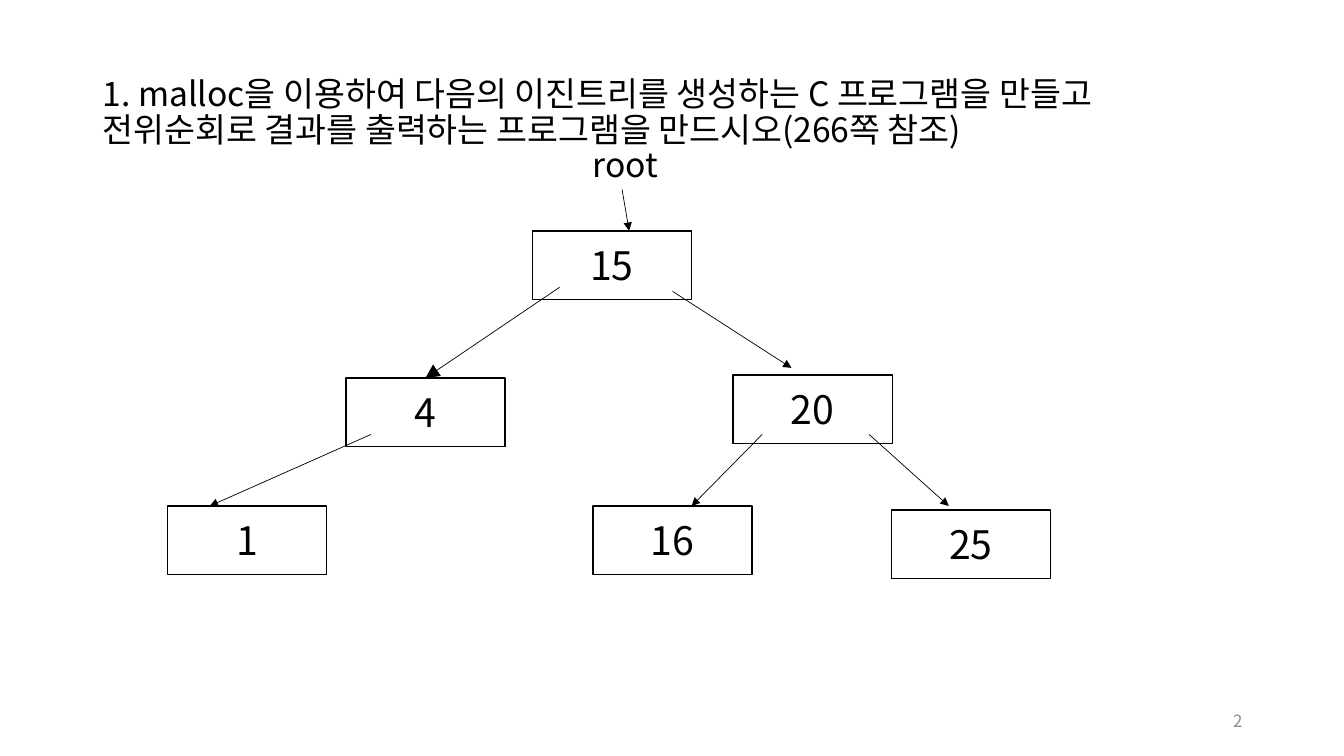
from lxml import etree
from pptx import Presentation
from pptx.dml.color import RGBColor
from pptx.enum.shapes import MSO_CONNECTOR, MSO_SHAPE
from pptx.enum.text import MSO_ANCHOR, PP_ALIGN
from pptx.oxml.ns import qn
from pptx.util import Inches, Pt

RECTANGLE = MSO_SHAPE.RECTANGLE
STRAIGHT = MSO_CONNECTOR.STRAIGHT
LEFT, CENTER, RIGHT = PP_ALIGN.LEFT, PP_ALIGN.CENTER, PP_ALIGN.RIGHT
TOP, MIDDLE = MSO_ANCHOR.TOP, MSO_ANCHOR.MIDDLE

FONT = "Noto Sans CJK KR"
COLORS = {"ink": "000000", "page_number": "8C8C8C"}
NODE_WIDTH, NODE_HEIGHT = 1.58, 0.68
TOP_SIDE = 0

TITLE = (
    "1. malloc을 이용하여 다음의 이진트리를 생성하는 C 프로그램을 만들고 "
    "전위순회로 결과를 출력하는 프로그램을 만드시오(266쪽 참조)"
)
NODES = {
    "15": (5.28, 2.29),
    "4": (3.43, 3.75),
    "1": (1.66, 5.02),
    "20": (7.27, 3.72),
    "16": (5.88, 5.02),
    "25": (8.84, 5.06),
}
ARROWS = [
    ((6.67, 2.89), (7.85, 3.65)),
    ((3.68, 4.31), (2.08, 5.02)),
    ((7.56, 4.31), (6.86, 5.02)),
    ((8.62, 4.31), (9.41, 5.02)),
    ((6.17, 1.88), (6.24, 2.29)),
]


def color(name):
    return RGBColor.from_string(COLORS[name])


def write_text(shape, text, size, alignment, anchor, color_name="ink"):
    frame = shape.text_frame
    frame.word_wrap = True
    frame.vertical_anchor = anchor
    paragraph = frame.paragraphs[0]
    paragraph.text = text
    paragraph.alignment = alignment
    font = paragraph.font
    font.size = Pt(size)
    font.color.rgb = color(color_name)
    font.name = FONT
    properties = paragraph._p.pPr.find(qn("a:defRPr"))
    etree.SubElement(properties, qn("a:ea"), typeface=FONT)
    return paragraph


def add_text(slide, box, text, size, alignment=LEFT, anchor=MIDDLE, color_name="ink"):
    shape = slide.shapes.add_textbox(*map(Inches, box))
    return write_text(shape, text, size, alignment, anchor, color_name)


def add_node(slide, value, position):
    box = (*position, NODE_WIDTH, NODE_HEIGHT)
    shape = slide.shapes.add_shape(RECTANGLE, *map(Inches, box))
    shape.shadow.inherit = False
    shape.fill.background()
    shape.line.color.rgb = color("ink")
    shape.line.width = Pt(1)
    write_text(shape, value, 28, CENTER, MIDDLE)
    return shape


def add_arrow(slide, start, end, head_size="med"):
    connector = slide.shapes.add_connector(STRAIGHT, *map(Inches, (*start, *end)))
    connector.line.color.rgb = color("ink")
    connector.line.width = Pt(0.5)
    etree.SubElement(
        connector.line._get_or_add_ln(), qn("a:tailEnd"),
        type="triangle", w=head_size, len=head_size,
    )
    etree.SubElement(connector._element.spPr, qn("a:effectLst"))
    return connector


def main():
    presentation = Presentation()
    presentation.slide_width = Inches(13.33)
    presentation.slide_height = Inches(7.5)
    slide = presentation.slides.add_slide(presentation.slide_layouts[6])

    title = add_text(slide, (0.92, 0.4, 11.5, 1.45), TITLE, 24)
    title.line_spacing = 0.9
    nodes = {value: add_node(slide, value, place) for value, place in NODES.items()}
    left_arrow = add_arrow(slide, (5.55, 2.85), (4.22, 3.75), "lg")
    left_arrow.end_connect(nodes["4"], TOP_SIDE)
    for start, end in ARROWS:
        add_arrow(slide, start, end)
    add_text(slide, (5.78, 1.38, 1.97, 0.5), "root", 24, anchor=TOP)
    add_text(slide, (9.42, 6.95, 3, 0.4), "2", 12, RIGHT, color_name="page_number")

    presentation.save("out.pptx")


if __name__ == "__main__":
    main()
